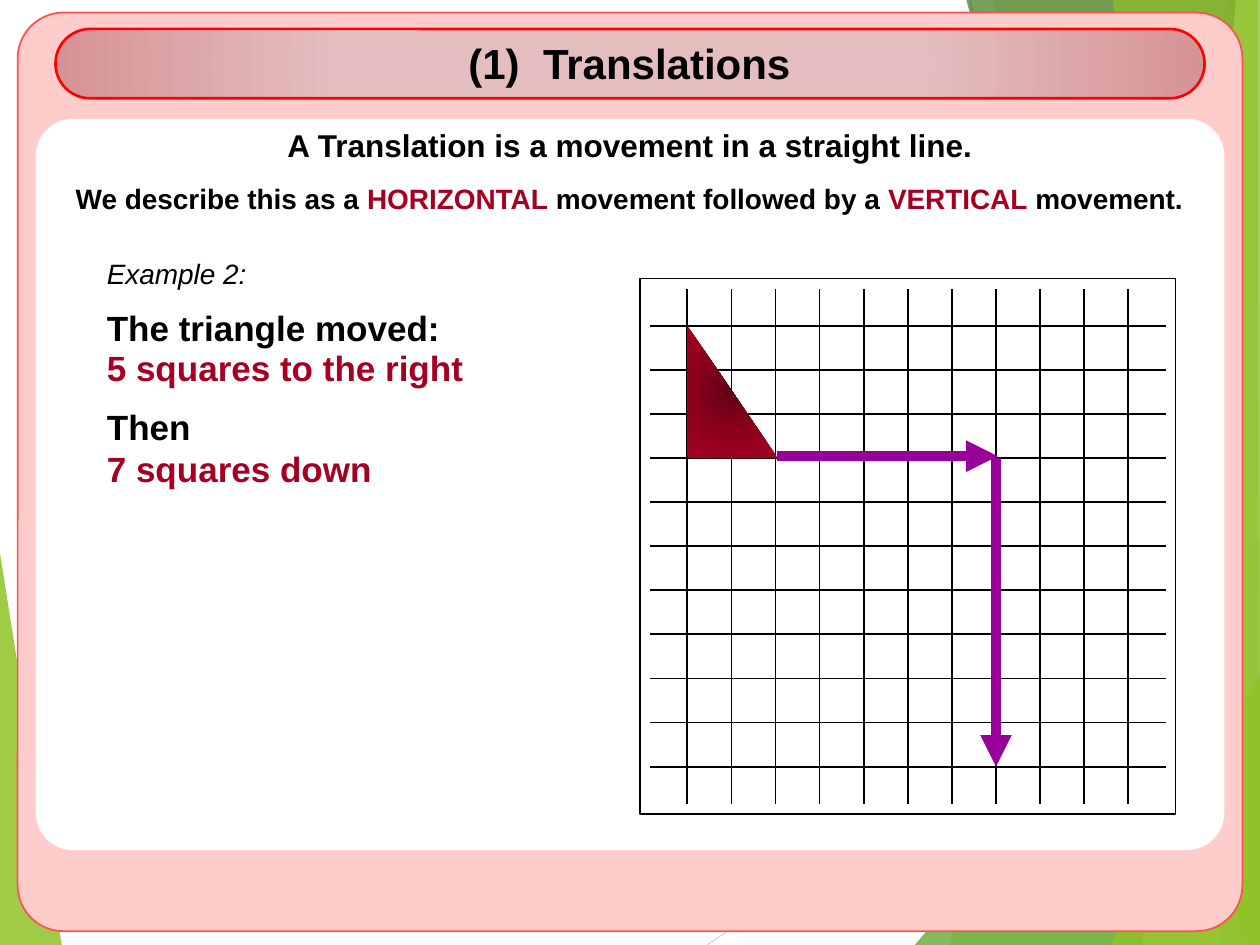
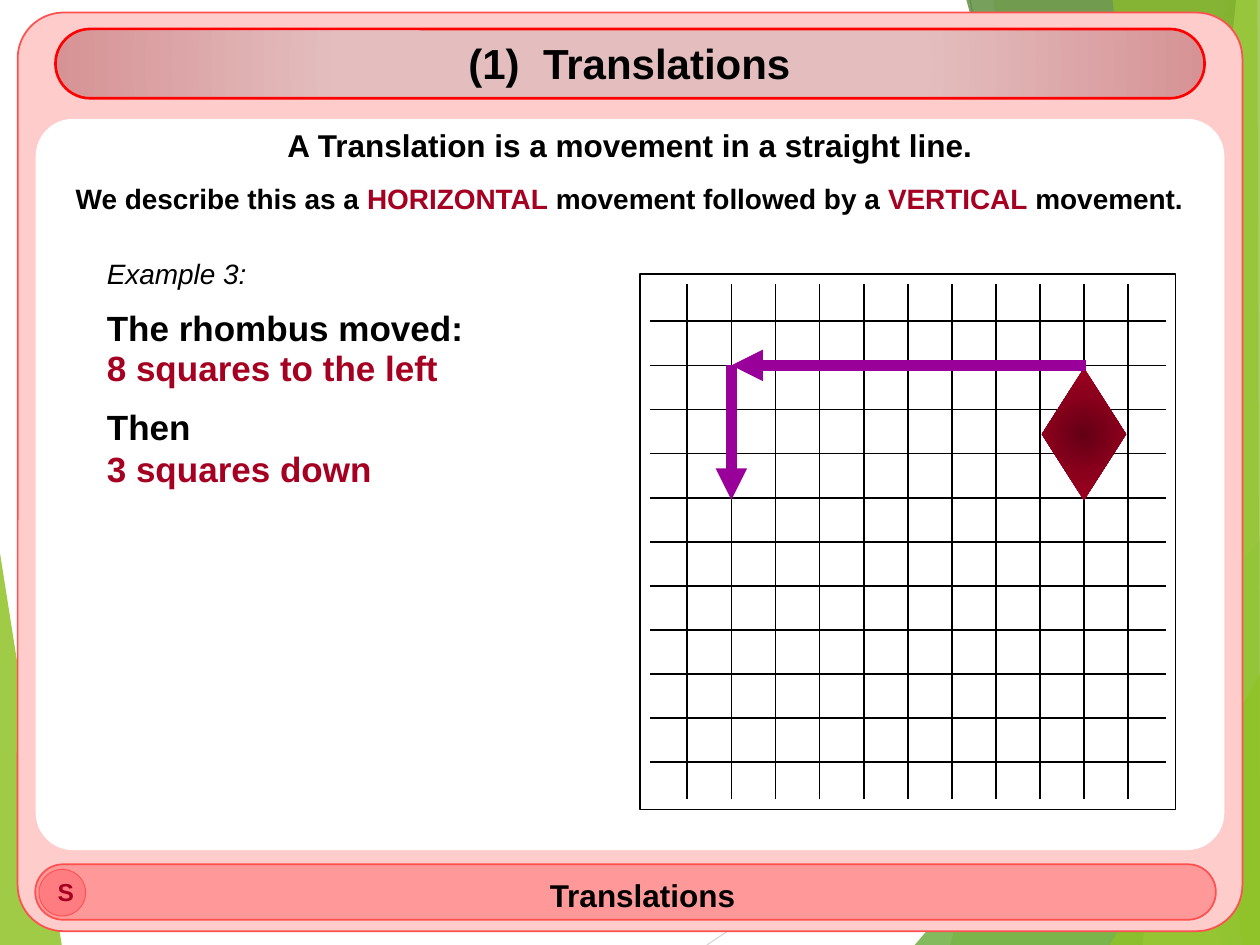
"""Build two lesson slides that describe translations on a squared board."""
from dataclasses import dataclass
from typing import NamedTuple

from lxml import etree
from pptx import Presentation
from pptx import util as u
from pptx.dml.color import RGBColor
from pptx.enum import shapes, text
from pptx.oxml.ns import qn

COLUMNS, ROWS = 40, 30
WIDTH, HEIGHT = u.Inches(10), u.Inches(7.5)
FONT = "Arial"
BLACK, WHITE, CRIMSON, PURPLE = "000000", "FFFFFF", "A50021", "990099"
PINK, ROSE, BUTTON, CORAL, RED = "FFCCCC", "FF9999", "FF7C80", "FF5050", "FF0000"
LEFT, CENTER = text.PP_ALIGN.LEFT, text.PP_ALIGN.CENTER
SHAPE = shapes.MSO_SHAPE

BOARD_LEFT, BOARD_SIDE = 20.32, 17
FIRST_LINE, SQUARE, LINE_COUNT, LINE_INSET = 1.5, 1.4, 11, 0.32

Point = tuple[float, float]
Stops = tuple[tuple[int, str], ...]
TITLE_STOPS: Stops = ((50, "E4BEBF"), (100, "D69395"), (100, "F1E0E0"))
FIGURE_STOPS: Stops = ((0, "620014"), (50, "8B001C"), (100, CRIMSON))


class Area(NamedTuple):
    left: float
    top: float
    width: float
    height: float


class Facet(NamedTuple):
    color: str
    opacity: int
    points: tuple[Point, ...]


class Ray(NamedTuple):
    start: Point
    end: Point
    color: str


class Words(NamedTuple):
    content: str
    color: str = BLACK
    spacing: int = 0


@dataclass(frozen=True)
class Label:
    area: Area
    words: tuple[Words, ...]
    size: int
    align: text.PP_ALIGN = CENTER
    italic: bool = False


@dataclass(frozen=True)
class Panel:
    area: Area
    fill: str | Stops
    line: str | None = None
    weight: float = 1
    kind: shapes.MSO_SHAPE = SHAPE.ROUNDED_RECTANGLE
    rounding: float | None = None


@dataclass(frozen=True)
class Example:
    number: int
    figure: str
    across: str
    down: str
    board_top: float
    kind: shapes.MSO_SHAPE
    figure_squares: Area
    moves: tuple[tuple[Point, Point], ...]
    footer: bool = False


FACETS_BEFORE_RAYS = [Facet("90C226", 85, ((0, 17.56), (1.96, 30), (0, 30)))]
RAYS = [
    Ray((22.44, 30), (40, 18.28), "D9D9D9"),
    Ray((30.8, 0), (36.16, 30), "BFBFBF"),
]
FACETS_AFTER_RAYS = [
    Facet("90C226", 30, ((39, 0), (30.16, 30), (40, 30), (40, 0))),
    Facet("90C226", 20, ((31.52, 0), (36.76, 30), (40, 30), (40, 0))),
    Facet("54A021", 72, ((29.04, 30), (40, 17.16), (40, 30))),
    Facet("3F7819", 70, ((30.68, 0), (38.8, 30), (40, 30), (40, 0))),
    Facet("C0E474", 70, ((39.24, 0), (36.28, 30), (40, 30), (40, 0))),
    Facet("90C226", 65, ((35.32, 0), (39.44, 30), (40, 30), (39.92, 0))),
    Facet("90C226", 80, ((35.24, 30), (40, 21.4), (40, 30))),
]
FRAME = [
    Panel(Area(0.56, 0.4, 38.88, 29.16), PINK, CORAL, rounding=0.05),
    Panel(Area(1.16, 3.8, 37.68, 23.16), WHITE, WHITE, rounding=0.05),
]
TITLE_BAR = Panel(Area(1.76, 0.92, 36.48, 2.2), TITLE_STOPS, RED, 1.5, rounding=0.5)
TITLE = Label(
    Area(2.68, 1, 34.6, 2),
    (Words("(1)"), Words(" ", spacing=667), Words("Translations")), 24)
INTRODUCTION = [
    Label(Area(2.44, 3.8, 35.12, 1.6),
          (Words("A Translation is a movement in a straight line."),), 18),
    Label(Area(1.32, 5.56, 37.32, 1.48),
          (Words("We describe this as a "), Words("HORIZONTAL", CRIMSON),
           Words(" movement followed by a "), Words("VERTICAL", CRIMSON),
           Words(" movement.")), 16),
]
FOOTER_PANELS = [
    Panel(Area(1.12, 27.44, 37.48, 1.76), ROSE, CORAL, rounding=0.5),
    Panel(Area(1.24, 27.6, 1.48, 1.48), BUTTON, CORAL, 0.5, SHAPE.OVAL),
]
FOOTER_LABELS = [
    Label(Area(2.84, 27.6, 35.12, 1.6), (Words("Translations"),), 18),
    Label(Area(1.44, 27.64, 1.12, 1.36), (Words("S", CRIMSON),), 14),
]
EXAMPLES = [
    Example(2, "triangle", "5 squares to the right", "7 squares down", 8.84,
            SHAPE.RIGHT_TRIANGLE, Area(0, 0, 2.05, 3),
            (((2.04, 2.96), (7.04, 2.96)), ((7, 3), (7, 10)))),
    Example(3, "rhombus", "8 squares to the left", "3 squares down", 8.7,
            SHAPE.DIAMOND, Area(8.04, 1.06, 1.91, 3),
            (((9.04, 1), (1, 1)), ((1, 1), (1, 4.05))), footer=True),
]


def rgb(color: str) -> RGBColor:
    return RGBColor.from_string(color)


def column(count: float) -> int:
    return round(WIDTH * count / COLUMNS)


def row(count: float) -> int:
    return round(HEIGHT * count / ROWS)


def place(area: Area) -> tuple[int, int, int, int]:
    return column(area.left), row(area.top), column(area.width), row(area.height)


def fill_radial(shape, stops: Stops) -> None:
    shape.fill.gradient()
    gradient = shape._element.spPr.find(qn("a:gradFill"))
    for child in list(gradient):
        gradient.remove(child)
    stop_list = etree.SubElement(gradient, qn("a:gsLst"))
    for position, color in stops:
        stop = etree.SubElement(stop_list, qn("a:gs"), pos=str(position * 1000))
        etree.SubElement(stop, qn("a:srgbClr"), val=color)
    circle = etree.SubElement(gradient, qn("a:path"), {"path": "circle"})
    etree.SubElement(circle, qn("a:fillToRect"),
                     dict.fromkeys(("l", "t", "r", "b"), "50000"))


def draw_panel(page, panel: Panel) -> None:
    shape = page.shapes.add_shape(panel.kind, *place(panel.area))
    shape.shadow.inherit = False
    if panel.rounding is not None:
        shape.adjustments[0] = panel.rounding
    if isinstance(panel.fill, str):
        shape.fill.solid()
        shape.fill.fore_color.rgb = rgb(panel.fill)
    else:
        fill_radial(shape, panel.fill)
    if panel.line:
        shape.line.color.rgb = rgb(panel.line)
        shape.line.width = u.Pt(panel.weight)
    else:
        shape.line.fill.background()


def draw_facet(page, facet: Facet) -> None:
    start, *others = [(column(x), row(y)) for x, y in facet.points]
    builder = page.shapes.build_freeform(*start)
    builder.add_line_segments(others, close=True)
    shape = builder.convert_to_shape()
    shape.shadow.inherit = False
    shape.fill.solid()
    shape.fill.fore_color.rgb = rgb(facet.color)
    tint = shape._element.spPr.find(qn("a:solidFill")).find(qn("a:srgbClr"))
    etree.SubElement(tint, qn("a:alpha"), val=str(facet.opacity * 1000))
    shape.line.fill.background()


def draw_line(page, start: Point, end: Point, color: str = BLACK,
              weight: float = 1, arrow: bool = False) -> None:
    line = page.shapes.add_connector(
        shapes.MSO_CONNECTOR.STRAIGHT,
        column(start[0]), row(start[1]), column(end[0]), row(end[1]))
    line.line.color.rgb = rgb(color)
    line.line.width = u.Pt(weight)
    properties = line._element.spPr
    if arrow:
        etree.SubElement(properties.find(qn("a:ln")), qn("a:tailEnd"), type="triangle")
    etree.SubElement(properties, qn("a:effectLst"))


def write_label(page, label: Label) -> None:
    box = page.shapes.add_textbox(*place(label.area))
    frame = box.text_frame
    frame.word_wrap = True
    frame.auto_size = text.MSO_AUTO_SIZE.SHAPE_TO_FIT_TEXT
    para = frame.paragraphs[0]
    para.alignment = label.align
    for words in label.words:
        span = para.add_run()
        span.text = words.content
        span.font.name = FONT
        span.font.size = u.Pt(label.size)
        span.font.bold = not label.italic
        span.font.italic = label.italic
        span.font.color.rgb = rgb(words.color)
        if words.spacing:
            span._r.get_or_add_rPr().set("spc", str(words.spacing))


def draw_background(page) -> None:
    for facet in FACETS_BEFORE_RAYS:
        draw_facet(page, facet)
    for ray in RAYS:
        draw_line(page, ray.start, ray.end, ray.color, 0.75)
    for facet in FACETS_AFTER_RAYS:
        draw_facet(page, facet)
    for panel in FRAME:
        draw_panel(page, panel)


def write_example(page, example: Example) -> None:
    lines = [
        (7.96, 6.28, f"Example {example.number}:", BLACK),
        (9.52, 14.12, f"The {example.figure} moved:", BLACK),
        (10.8, 14.12, example.across, CRIMSON),
        (12.68, 5.56, "Then", BLACK),
        (14, 14.12, example.down, CRIMSON),
    ]
    for index, (top, width, content, color) in enumerate(lines):
        heading = index == 0
        write_label(page, Label(Area(3, top, width, 1.48 if heading else 1.76),
                                (Words(content, color),), 16 if heading else 20,
                                LEFT, italic=heading))


def draw_board(page, example: Example) -> None:
    left, top = BOARD_LEFT, example.board_top
    draw_panel(page, Panel(Area(left, top, BOARD_SIDE, BOARD_SIDE), WHITE, BLACK,
                           kind=SHAPE.RECTANGLE))
    far = BOARD_SIDE - LINE_INSET
    for index in range(LINE_COUNT):
        offset = FIRST_LINE + SQUARE * index
        draw_line(page, (left + LINE_INSET, top + offset), (left + far, top + offset))
        draw_line(page, (left + offset, top + far), (left + offset, top + LINE_INSET))

    def crossing(x: float, y: float) -> Point:
        return left + FIRST_LINE + SQUARE * x, top + FIRST_LINE + SQUARE * y

    squares = example.figure_squares
    area = Area(*crossing(squares.left, squares.top),
                SQUARE * squares.width, SQUARE * squares.height)
    draw_panel(page, Panel(area, FIGURE_STOPS, kind=example.kind))
    for start, end in example.moves:
        draw_line(page, crossing(*start), crossing(*end), PURPLE, 6, arrow=True)


def build_page(deck, example: Example) -> None:
    page = deck.slides.add_slide(deck.slide_layouts[6])
    draw_background(page)
    if example.footer:
        for panel in FOOTER_PANELS:
            draw_panel(page, panel)
        for label in FOOTER_LABELS:
            write_label(page, label)
    for label in INTRODUCTION:
        write_label(page, label)
    write_example(page, example)
    draw_board(page, example)
    draw_panel(page, TITLE_BAR)
    write_label(page, TITLE)


def main() -> None:
    deck = Presentation()
    deck.slide_width, deck.slide_height = WIDTH, HEIGHT
    for example in EXAMPLES:
        build_page(deck, example)
    deck.save("out.pptx")


if __name__ == "__main__":
    main()
